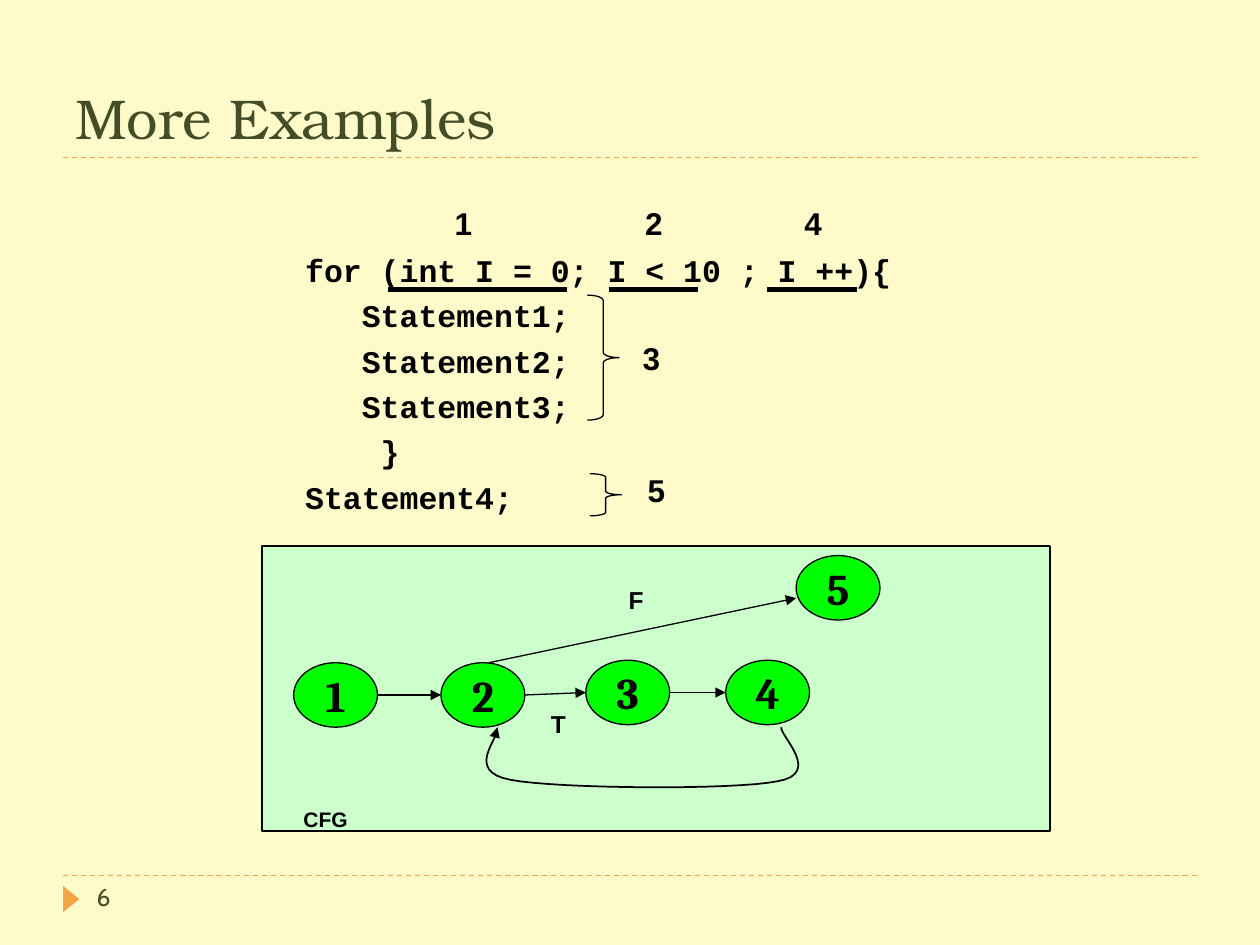
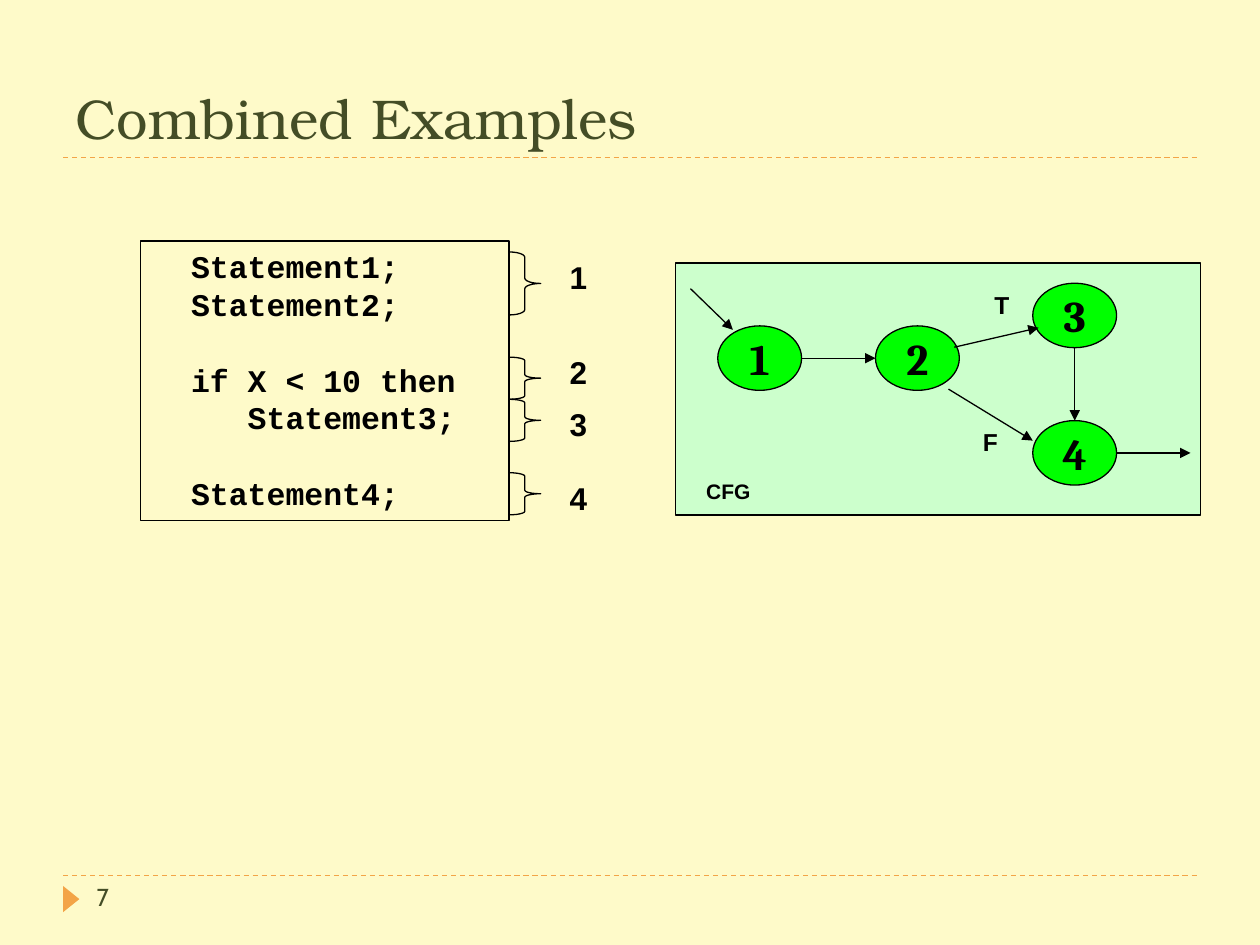
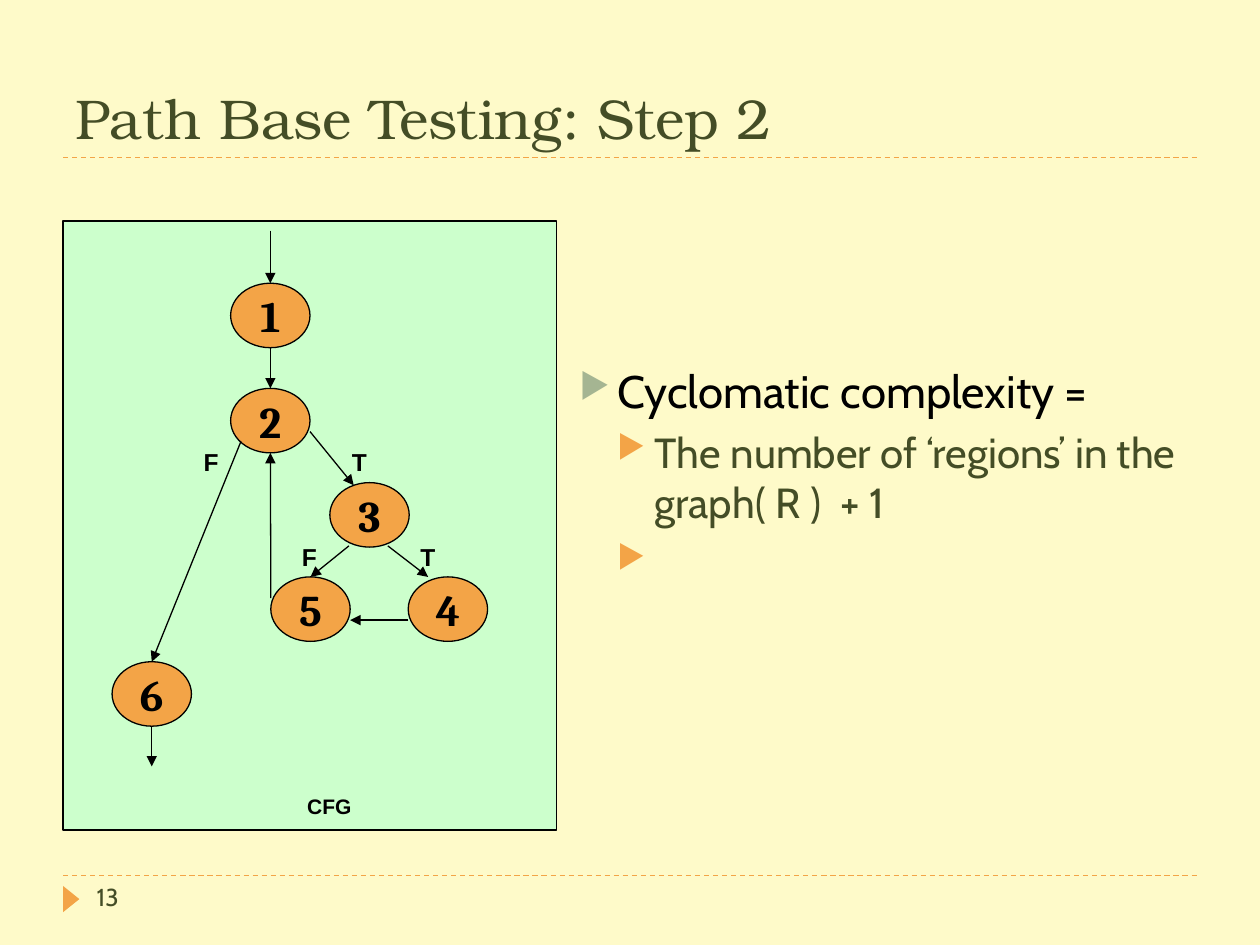
from dataclasses import dataclass

from lxml import etree
from pptx import Presentation
from pptx.dml.color import RGBColor
from pptx.enum.dml import MSO_LINE
from pptx.enum.shapes import MSO_CONNECTOR, MSO_SHAPE
from pptx.enum.text import MSO_ANCHOR, PP_ALIGN
from pptx.oxml.ns import qn
from pptx.util import Cm, Pt

STRAIGHT = MSO_CONNECTOR.STRAIGHT
RECTANGLE, ELLIPSE = MSO_SHAPE.RECTANGLE, MSO_SHAPE.OVAL
BRACE, TRIANGLE = MSO_SHAPE.RIGHT_BRACE, MSO_SHAPE.ISOSCELES_TRIANGLE
DASH = MSO_LINE.DASH
LEFT, CENTER = PP_ALIGN.LEFT, PP_ALIGN.CENTER
TOP, MIDDLE, BOTTOM = MSO_ANCHOR.TOP, MSO_ANCHOR.MIDDLE, MSO_ANCHOR.BOTTOM


@dataclass(frozen=True)
class Theme:
    paper: str = "FEFAC9"
    accent: str = "F3A447"
    olive: str = "444D26"
    sage: str = "A5B592"
    ink: str = "000000"
    panel: str = "CCFFCC"
    green: str = "00FF00"
    title_font: str = "TeX Gyre Bonum"
    body_font: str = "Cabin"
    code_font: str = "Courier New"
    label_font: str = "Arial"
    node_font: str = "Cambria"
    title_size: float = 32
    point_size: float = 26
    node_size: float = 25
    detail_size: float = 24
    code_size: float = 18
    branch_size: float = 14
    caption_size: float = 12
    thin: float = 0.75
    frame: float = 1
    thick: float = 3


def rgb(value):
    return RGBColor.from_string(value)


def on_edge(node, fractions):
    """Point of a node's frame, as fractions of its width and height, in cm."""
    across, down = fractions
    return (node.left.cm + across * node.width.cm, node.top.cm + down * node.height.cm)


def bezier(start, curves, steps=16):
    """Points along a chain of cubic curves."""
    points = [start]
    for a, b, end in curves:
        for step in range(1, steps + 1):
            t = step / steps
            weights = ((1 - t) ** 3, 3 * t * (1 - t) ** 2, 3 * t * t * (1 - t), t ** 3)
            points.append(tuple(sum(w * p[axis] for w, p in zip(weights, (start, a, b, end)))
                                for axis in (0, 1)))
        start = end
    return points


class Deck:
    def __init__(self, theme):
        self.theme = theme
        self.prs = Presentation()
        self.prs.slide_width, self.prs.slide_height = Cm(25.4), Cm(19.05)
        background = self.prs.slide_master.background.fill
        background.solid()
        background.fore_color.rgb = rgb(theme.paper)
        self.slide = None

    def new_slide(self, title, number):
        t = self.theme
        self.slide = self.prs.slides.add_slide(self.prs.slide_layouts[6])
        for y in (17.65, 3.18):
            self.line((1.27, y), (24.13, y), t.accent, dash=True)
        marker = self.shape(TRIANGLE, (1.17, 17.96, 0.53, 0.33), t.accent)
        marker.rotation = 90
        self.text((1.27, 0.43, 22.86, 2.74), [title], t.title_font, t.title_size,
                  t.olive, bold=False, anchor=BOTTOM)
        self.text((1.7, 17.65, 5.51, 1.02), [number], t.body_font, t.branch_size,
                  t.olive, bold=False)

    # Text
    def style(self, paragraph, font, size, color, bold=True):
        for run in paragraph.runs:
            run.font.name, run.font.size, run.font.bold = font, Pt(size), bold
            run.font.color.rgb = rgb(color)

    def fill_text(self, frame, lines, font, size, color, bold=True, align=LEFT, anchor=TOP):
        frame.vertical_anchor = anchor
        frame.text = "\n".join(lines)
        for paragraph in frame.paragraphs:
            paragraph.alignment = align
            self.style(paragraph, font, size, color, bold)

    def text(self, box, lines, font, size, color, **options):
        frame = self.slide.shapes.add_textbox(*map(Cm, box)).text_frame
        frame.word_wrap = True
        self.fill_text(frame, lines, font, size, color, **options)
        return frame

    def label(self, text, left, top, size, width=1.27):
        self.text((left, top, width, 1), [text], self.theme.label_font, size,
                  self.theme.ink, align=CENTER)

    def code(self, box, lines):
        t = self.theme
        return self.text(box, lines, t.code_font, t.code_size, t.ink)

    def bullet(self, paragraph, level, color):
        properties = paragraph._p.get_or_add_pPr()
        properties.set("marL", str(Cm(0.76 * (level + 1))))
        properties.set("indent", str(-Cm(0.76)))
        bullet_color = etree.SubElement(properties, qn("a:buClr"))
        etree.SubElement(bullet_color, qn("a:srgbClr"), val=color)
        etree.SubElement(properties, qn("a:buSzPct"), val="76000")
        etree.SubElement(properties, qn("a:buChar"), char="▶")
        paragraph.level = level

    def bullets(self, box, points):
        t = self.theme
        levels = ((t.sage, t.point_size, t.ink), (t.accent, t.detail_size, t.olive))
        frame = self.slide.shapes.add_textbox(*map(Cm, box)).text_frame
        frame.word_wrap = True
        frame.text = "\n".join(text for _, text in points)
        for index, (paragraph, (level, _)) in enumerate(zip(frame.paragraphs, points)):
            bullet_color, size, color = levels[level]
            self.bullet(paragraph, level, bullet_color)
            if index:
                paragraph.space_before = Pt(5)
            self.style(paragraph, t.body_font, size, color, bold=False)

    # Shapes
    def shape(self, kind, box, fill=None, width=None):
        shape = self.slide.shapes.add_shape(kind, *map(Cm, box))
        self.paint(shape, fill, width)
        return shape

    def paint(self, shape, fill, width):
        shape.shadow.inherit = False
        if fill:
            shape.fill.solid()
            shape.fill.fore_color.rgb = rgb(fill)
        else:
            shape.fill.background()
        if width:
            shape.line.color.rgb = rgb(self.theme.ink)
            shape.line.width = Pt(width)
        else:
            shape.line.fill.background()

    def panel(self, box):
        self.shape(RECTANGLE, box, self.theme.panel, self.theme.frame)

    def brace(self, left, top, height, bend):
        brace = self.shape(BRACE, (left, top, 0.64, height), width=self.theme.thin)
        brace.adjustments[0] = bend

    def nodes(self, places, fill, width):
        """Numbered ellipses, returned by their number."""
        t, nodes = self.theme, {}
        for number, (left, top) in enumerate(places, 1):
            node = self.shape(ELLIPSE, (left, top, width, 1.3), fill, t.thin)
            node.text_frame.word_wrap = False
            self.fill_text(node.text_frame, [str(number)], t.node_font, t.node_size, t.ink,
                           align=CENTER, anchor=MIDDLE)
            nodes[number] = node
        return nodes

    # Lines
    def line(self, start, end, color, width=None, dash=False):
        line = self.slide.shapes.add_connector(STRAIGHT, *map(Cm, (*start, *end)))
        line.line.color.rgb = rgb(color)
        line.line.width = Pt(width or self.theme.thin)
        if dash:
            line.line.dash_style = DASH
        etree.SubElement(line.element.spPr, qn("a:effectLst"))
        return line

    def arrowhead(self, shape):
        outline = shape.element.spPr.find(qn("a:ln"))
        etree.SubElement(outline, qn("a:tailEnd"), type="triangle")

    def arrow(self, start, end):
        self.arrowhead(self.line(start, end, self.theme.ink))

    def edges(self, nodes, links):
        for source, leave, target, reach in links:
            self.arrow(on_edge(nodes[source], leave), on_edge(nodes[target], reach))

    def curved_arrow(self, start, curves):
        points = [(Cm(x), Cm(y)) for x, y in bezier(start, curves)]
        builder = self.slide.shapes.build_freeform(*points[0], scale=1.0)
        builder.add_line_segments(points[1:], close=False)
        curve = builder.convert_to_shape()
        self.paint(curve, None, self.theme.frame)
        self.arrowhead(curve)


# Sides of a node, as fractions of its frame
WEST, EAST, NORTH, SOUTH = (0, 0.5), (1, 0.5), (0.5, 0), (0.5, 1)


def loop_slide(deck):
    t = deck.theme
    deck.new_slide("More Examples", "6")

    # Loop code with its numbered parts
    loop = deck.code((5.14, 4.66, 13.38, 6.04), [
        "  for (int I = 0; I < 10 ; I ++){",
        "     Statement1;",
        "     Statement2;",
        "     Statement3;",
        "      }",
        "  Statement4;",
    ])
    loop.margin_top = loop.margin_bottom = Cm(0.25)
    for paragraph in loop.paragraphs:
        paragraph.line_spacing = 1.2
    for start, end in ((7.83, 11.43), (12.27, 14.07), (15.47, 17.27)):
        deck.line((start, 5.84), (end, 5.84), t.ink, t.thick)
    deck.brace(11.84, 5.95, 2.52, 0.167)
    deck.brace(11.89, 9.55, 0.85, 0.111)
    for part, left, top in (("1", 8.81, 3.98), ("2", 12.65, 3.98), ("4", 15.86, 3.98),
                            ("3", 12.6, 6.71), ("5", 12.7, 9.37)):
        deck.label(part, left, top, t.code_size, 1.06)

    # Flow graph
    deck.panel((5.29, 11.01, 15.88, 5.74))
    deck.label("CFG", 5.72, 16.13, t.caption_size, 1.69)
    nodes = deck.nodes(((5.92, 13.36), (8.89, 13.36), (11.81, 13.31), (14.63, 13.31),
                        (16.05, 11.2)), t.green, 1.69)
    deck.edges(nodes, [(n, EAST, n + 1, WEST) for n in (1, 2, 3)])
    deck.edges(nodes, [(2, (0.57, 0), 5, (0, 0.66))])
    deck.curved_arrow((15.75, 14.66), (
        ((15.72, 14.83), (16.59, 15.6), (15.67, 15.75)),
        ((14.78, 15.93), (11.23, 15.9), (10.29, 15.72)),
        ((9.35, 15.54), (10.08, 14.88), (10.03, 14.66)),
    ))
    deck.label("F", 12.19, 11.66, t.branch_size)
    deck.label("T", 10.62, 14.17, t.branch_size)


def branch_slide(deck):
    t = deck.theme
    deck.new_slide("Combined Examples", "7")

    # Branch code with its numbered parts
    code_box = (2.84, 4.86, 7.42, 5.63)
    deck.shape(RECTANGLE, code_box, width=t.thin)
    branch = deck.code(code_box, [
        "  Statement1;",
        "  Statement2;",
        "  if X < 10 then",
        "     Statement3;",
        "  Statement4;",
    ])
    for group_start in (2, 4):
        branch.paragraphs[group_start].space_before = Pt(21.6)
    parts = ((5.08, 1.27, 0.167, 5.08), (7.2, 0.85, 0.111, 6.99),
             (8.05, 0.85, 0.111, 8.05), (9.53, 0.85, 0.111, 9.53))
    for part, (top, height, bend, label_top) in enumerate(parts, 1):
        deck.brace(10.26, top, height, bend)
        deck.label(str(part), 11.13, label_top, t.code_size, 1.06)

    # Flow graph
    deck.panel((13.62, 5.3, 10.58, 5.08))
    deck.label("CFG", 13.84, 9.53, t.caption_size, 1.69)
    nodes = deck.nodes(((14.47, 6.57), (17.65, 6.57), (20.82, 5.71), (20.82, 8.48)),
                       t.green, 1.69)
    deck.edges(nodes, [
        (1, EAST, 2, WEST),
        (2, (0.94, 0.33), 3, (0.07, 0.69)),
        (2, (0.87, 0.98), 4, (0, 0.31)),
        (3, SOUTH, 4, NORTH),
    ])
    deck.arrow((13.92, 5.82), on_edge(nodes[1], (0.18, 0.06)))
    leave_x, leave_y = on_edge(nodes[4], EAST)
    deck.arrow((leave_x, leave_y), (24, leave_y))
    deck.label("T", 19.56, 5.72, t.branch_size)
    deck.label("F", 19.33, 8.48, t.branch_size)


def complexity_slide(deck):
    t = deck.theme
    deck.new_slide("Path Base Testing: Step 2", "13")

    # Flow graph
    deck.panel((1.27, 4.45, 9.95, 12.28))
    deck.label("CFG", 5.84, 15.88, t.caption_size, 1.6)
    nodes = deck.nodes(((4.65, 5.71), (4.65, 7.83), (6.65, 9.73), (8.23, 11.63),
                        (5.46, 11.63), (2.26, 13.34)), t.accent, 1.6)
    deck.edges(nodes, [
        (1, SOUTH, 2, NORTH),
        (2, (1, 0.67), 3, (0.3, 0.04)),
        (3, (0.24, 0.98), 5, NORTH),
        (3, (0.73, 0.98), 4, (0.25, 0)),
        (2, (0.13, 0.82), 6, NORTH),
        (4, (0, 0.67), 5, (1, 0.67)),
        (5, (0, 0.33), 2, SOUTH),
    ])
    enter_x, enter_y = on_edge(nodes[1], NORTH)
    deck.arrow((enter_x, 4.65), (enter_x, enter_y))
    leave_x, leave_y = on_edge(nodes[6], SOUTH)
    deck.arrow((leave_x, leave_y), (leave_x, 15.45))
    for branch, left, top in (("T", 6.65, 8.89), ("F", 3.66, 8.89),
                              ("T", 8.03, 10.8), ("F", 5.64, 10.8)):
        deck.label(branch, left, top, t.branch_size, 1.19)

    # Definition
    deck.bullets((11.43, 7.19, 13.97, 6.99), (
        (0, "Cyclomatic complexity ="),
        (1, "The number of ‘regions’ in the graph( R )  + 1"),
        (1, " "),
    ))


def main():
    deck = Deck(Theme())
    loop_slide(deck)
    branch_slide(deck)
    complexity_slide(deck)
    deck.prs.save("out.pptx")


if __name__ == "__main__":
    main()
